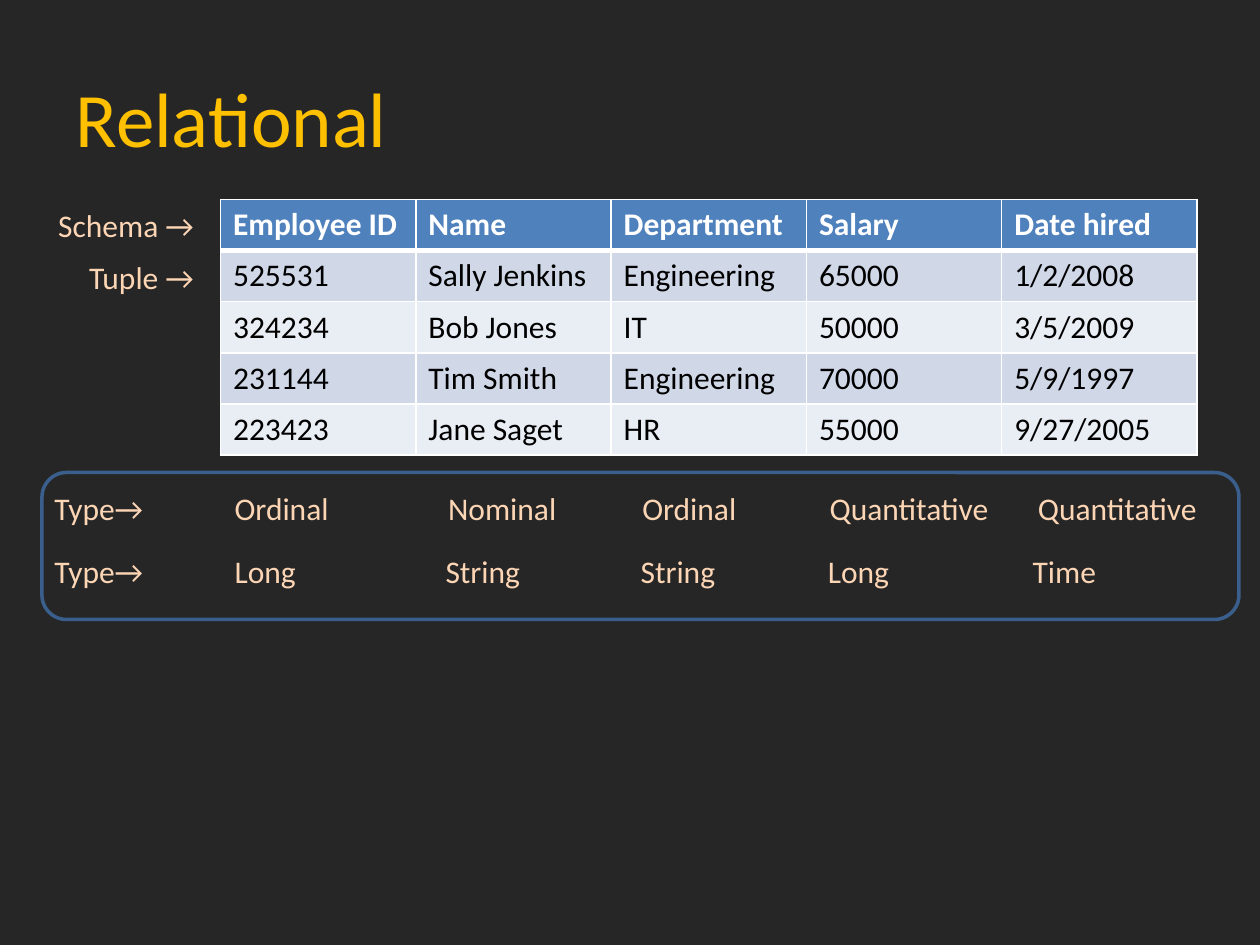
"""Build the slide that explains a relational table."""
from lxml.etree import SubElement
from pptx import Presentation
from pptx.dml.color import RGBColor
from pptx.enum.shapes import MSO_SHAPE as Shape
from pptx.enum.text import MSO_ANCHOR as Anchor, PP_ALIGN as Align
from pptx.oxml import parse_xml
from pptx.oxml.ns import nsdecls, qn
from pptx.util import Pt

FONT = "Calibri"
WHITE, BLACK, PEACH = "FFFFFF", "000000", "FCD5B5"
HEADER_FILL, BAND_FILLS = "4F81BD", ("D0D8E8", "E9EDF4")
ROWS = [
    ("Employee ID", "Name", "Department", "Salary", "Date hired"),
    ("525531", "Sally Jenkins", "Engineering", "65000", "1/2/2008"),
    ("324234", "Bob Jones", "IT", "50000", "3/5/2009"),
    ("231144", "Tim Smith", "Engineering", "70000", "5/9/1997"),
    ("223423", "Jane Saget", "HR", "55000", "9/27/2005"),
]
TYPE_LINES = [
    (("Type→", "Ordinal", "Nominal", "Ordinal", "Quantitative", "Quantitative"),
     (103, 225, 336, 443, 562)),
    (("Type→", "Long", "String", "String", "Long", "Time"),
     (103, 223.5, 335, 442, 559)),
]


def color(value):
    """Return the colour for a hex string."""
    return RGBColor.from_string(value)


def style(paragraph, size, value, bold=False):
    """Set the font of a whole paragraph."""
    font = paragraph.font
    font.name, font.size, font.bold = FONT, Pt(size), bold
    font.color.rgb = color(value)


def add_label(slide, text, left, top, width, align=Align.LEFT):
    """Add one line of peach text and return its paragraph."""
    frame = slide.shapes.add_textbox(Pt(left), Pt(top), Pt(width), Pt(29)).text_frame
    frame.word_wrap = True
    paragraph = frame.paragraphs[0]
    paragraph.text, paragraph.alignment = text, align
    style(paragraph, 18, PEACH)
    return paragraph


def set_borders(cell, top, bottom):
    """Draw white cell borders with the given top and bottom widths."""
    properties = cell._tc.get_or_add_tcPr()
    widths = (("lnL", 1), ("lnR", 1), ("lnT", top), ("lnB", bottom))
    for position, (tag, width) in enumerate(widths):
        properties.insert(position, parse_xml(
            f'<a:{tag} {nsdecls("a")} w="{Pt(width)}"><a:solidFill>'
            f'<a:srgbClr val="{WHITE}"/></a:solidFill></a:{tag}>'))


def place_title(slide, left, top, width, height):
    """Place the slide title in its box."""
    title = slide.shapes.title
    title.left, title.top, title.width, title.height = map(Pt, (left, top, width, height))
    title.text_frame.text = "Relational"
    title.text_frame.vertical_anchor = Anchor.MIDDLE
    paragraph = title.text_frame.paragraphs[0]
    paragraph.alignment = Align.LEFT
    style(paragraph, 44, "FFC000")


def place_table(slide, left, top, width, height):
    """Place the employee table in its box."""
    table = slide.shapes.add_table(
        len(ROWS), len(ROWS[0]), Pt(left), Pt(top), Pt(width), Pt(height)).table
    for row_index, values in enumerate(ROWS):
        header = row_index == 0
        fill = HEADER_FILL if header else BAND_FILLS[(row_index - 1) % 2]
        for column_index, value in enumerate(values):
            cell = table.cell(row_index, column_index)
            cell.text = value
            cell.fill.solid()
            cell.fill.fore_color.rgb = color(fill)
            set_borders(cell, 3 if row_index == 1 else 1, 3 if header else 1)
            style(cell.text_frame.paragraphs[0], 18, WHITE if header else BLACK, header)


def place_row_labels(slide, left, top, width, pitch):
    """Place the labels beside the first table rows."""
    for index, text in enumerate(("Schema →", "Tuple →")):
        add_label(slide, text, left, top + index * pitch, width, Align.RIGHT)


def place_types(slide, left, top, width, height):
    """Place the framed lines of column types in their box."""
    for index, (words, stops) in enumerate(TYPE_LINES):
        paragraph = add_label(slide, "\t".join(words), left, top + 6 + index * 36, width)
        tabs = SubElement(paragraph._p.get_or_add_pPr(), qn("a:tabLst"))
        paragraph._p.pPr.insert(0, tabs)
        for stop in stops:
            SubElement(tabs, qn("a:tab"), pos=str(Pt(stop)), algn="l")
    frame = slide.shapes.add_shape(
        Shape.ROUNDED_RECTANGLE, Pt(left), Pt(top), Pt(width), Pt(height))
    frame.shadow.inherit = False
    frame.fill.background()
    frame.line.color.rgb = color("3A5F8C")
    frame.line.width = Pt(2)


def build():
    """Build and save the presentation."""
    presentation = Presentation()
    presentation.slide_width, presentation.slide_height = Pt(720), Pt(540)
    slide = presentation.slides.add_slide(presentation.slide_layouts[5])
    slide.background.fill.solid()
    slide.background.fill.fore_color.rgb = color("262626")
    place_title(slide, 36, 21.6, 648, 90)
    place_table(slide, 126, 114, 558, 146)
    place_row_labels(slide, 18, 114, 100, 30)
    place_types(slide, 24, 270, 684, 84)
    presentation.save("out.pptx")


build()
